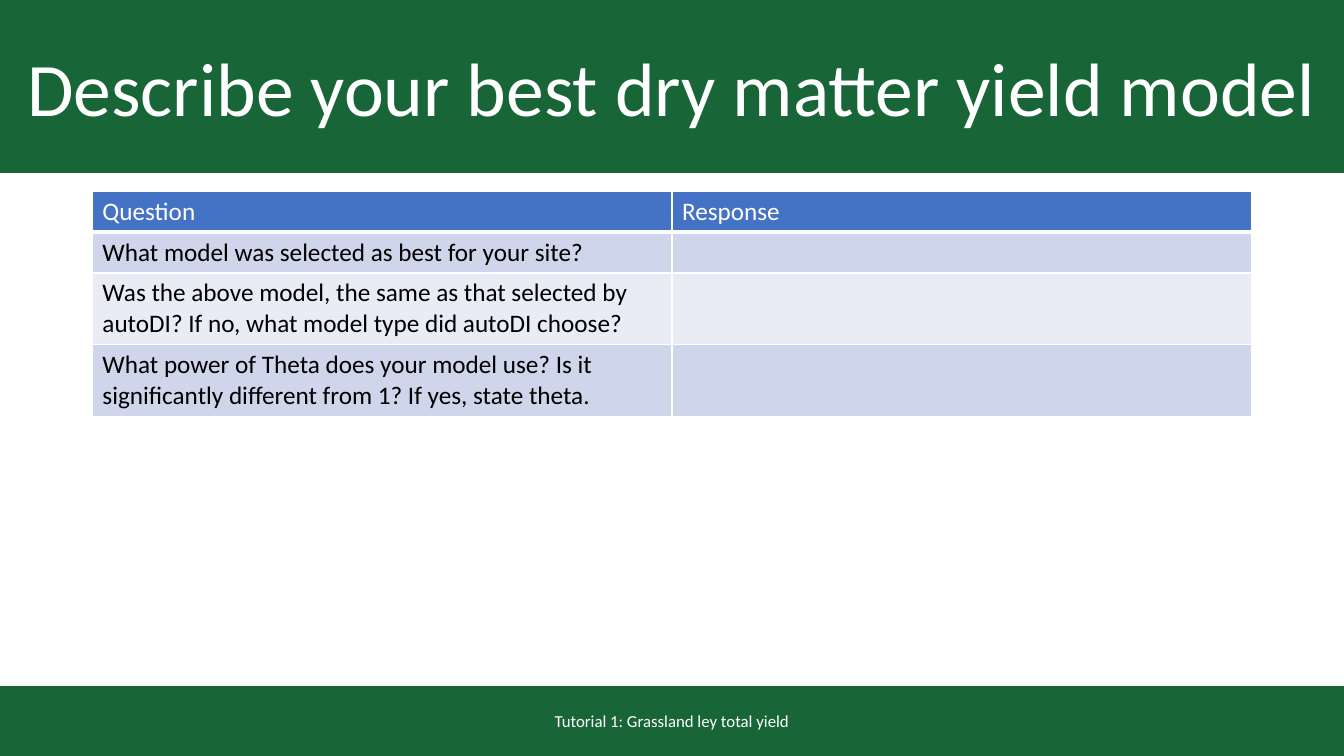
from dataclasses import dataclass

from lxml import etree
from pptx import Presentation
from pptx import util as u
from pptx.dml.color import RGBColor
from pptx.enum import shapes, text
from pptx.oxml import ns

PX = 9525


@dataclass(frozen=True)
class Theme:
    font: str = "Calibri"
    green: str = "186637"
    white: str = "FFFFFF"
    black: str = "000000"
    header: str = "4472C4"
    bands: tuple = ("CFD5EA", "E9EBF5")
    title_size: int = 54
    table_size: int = 18
    footer_size: int = 12
    border: int = 1
    header_border: int = 3


THEME = Theme()
COLUMN_WIDTHS = (552, 552)
ROW_HEIGHTS = (39, 39, 68, 68)
ROWS = (
    ("Question", "Response"),
    ("What model was selected as best for your site?", ""),
    ("Was the above model, the same as that selected by autoDI? "
     "If no, what model type did autoDI choose?", ""),
    ("What power of Theta does your model use? "
     "Is it significantly different from 1? If yes, state theta.", ""),
)


def px(*lengths):
    return [u.Emu(length * PX) for length in lengths]


def paint(fill, color):
    fill.solid()
    fill.fore_color.rgb = RGBColor.from_string(color)


def write(frame, wording, size, color, align=text.PP_ALIGN.LEFT):
    frame.word_wrap = True
    paragraph = frame.paragraphs[0]
    paragraph.alignment = align
    run = paragraph.add_run()
    run.text = wording
    run.font.name = THEME.font
    run.font.size = u.Pt(size)
    run.font.bold = False
    run.font.color.rgb = RGBColor.from_string(color)


def style_band(band):
    paint(band.fill, THEME.green)
    paint(band.line.fill, THEME.green)
    band.line.width = u.Pt(1)


def add_title(slide, wording, box):
    title = slide.shapes.title
    title.left, title.top, title.width, title.height = px(*box)
    style_band(title)
    frame = title.text_frame
    frame.auto_size = text.MSO_AUTO_SIZE.NONE
    frame.vertical_anchor = text.MSO_ANCHOR.MIDDLE
    write(frame, wording, THEME.title_size, THEME.white)


def add_footer(slide, wording, band_box, text_box):
    band = slide.shapes.add_shape(shapes.MSO_SHAPE.RECTANGLE, *px(*band_box))
    band.shadow.inherit = False
    style_band(band)
    frame = slide.shapes.add_textbox(*px(*text_box)).text_frame
    frame.vertical_anchor = text.MSO_ANCHOR.MIDDLE
    write(frame, wording, THEME.footer_size, THEME.white, text.PP_ALIGN.CENTER)


def set_borders(cell, bottom):
    properties = cell._tc.get_or_add_tcPr()
    widths = {"lnL": THEME.border, "lnR": THEME.border, "lnT": THEME.border, "lnB": bottom}
    for index, (side, width) in enumerate(widths.items()):
        border = etree.Element(ns.qn(f"a:{side}"), w=str(u.Pt(width)))
        fill = etree.SubElement(border, ns.qn("a:solidFill"))
        etree.SubElement(fill, ns.qn("a:srgbClr"), val=THEME.white)
        properties.insert(index, border)


def add_questions(slide, left, top):
    box = px(left, top, sum(COLUMN_WIDTHS), sum(ROW_HEIGHTS))
    questions = slide.shapes.add_table(len(ROWS), len(COLUMN_WIDTHS), *box).table
    for column, width in zip(questions.columns, px(*COLUMN_WIDTHS)):
        column.width = width
    for number, (row, height, wordings) in enumerate(
            zip(questions.rows, px(*ROW_HEIGHTS), ROWS)):
        row.height = height
        is_header = number == 0
        background = THEME.header if is_header else THEME.bands[(number - 1) % 2]
        color = THEME.white if is_header else THEME.black
        for cell, wording in zip(row.cells, wordings):
            paint(cell.fill, background)
            set_borders(cell, THEME.header_border if is_header else THEME.border)
            if wording:
                write(cell.text_frame, wording, THEME.table_size, color)


def main():
    deck = Presentation()
    deck.slide_width, deck.slide_height = px(1280, 720)
    slide = deck.slides.add_slide(deck.slide_layouts[5])
    add_title(slide, " Describe your best dry matter yield model", (0, 0, 1280, 164))
    add_questions(slide, 88, 182)
    add_footer(slide, "Tutorial 1: Grassland ley total yield",
               (0, 654, 1280, 66), (424, 667, 432, 38))
    deck.save("out.pptx")


if __name__ == "__main__":
    main()
